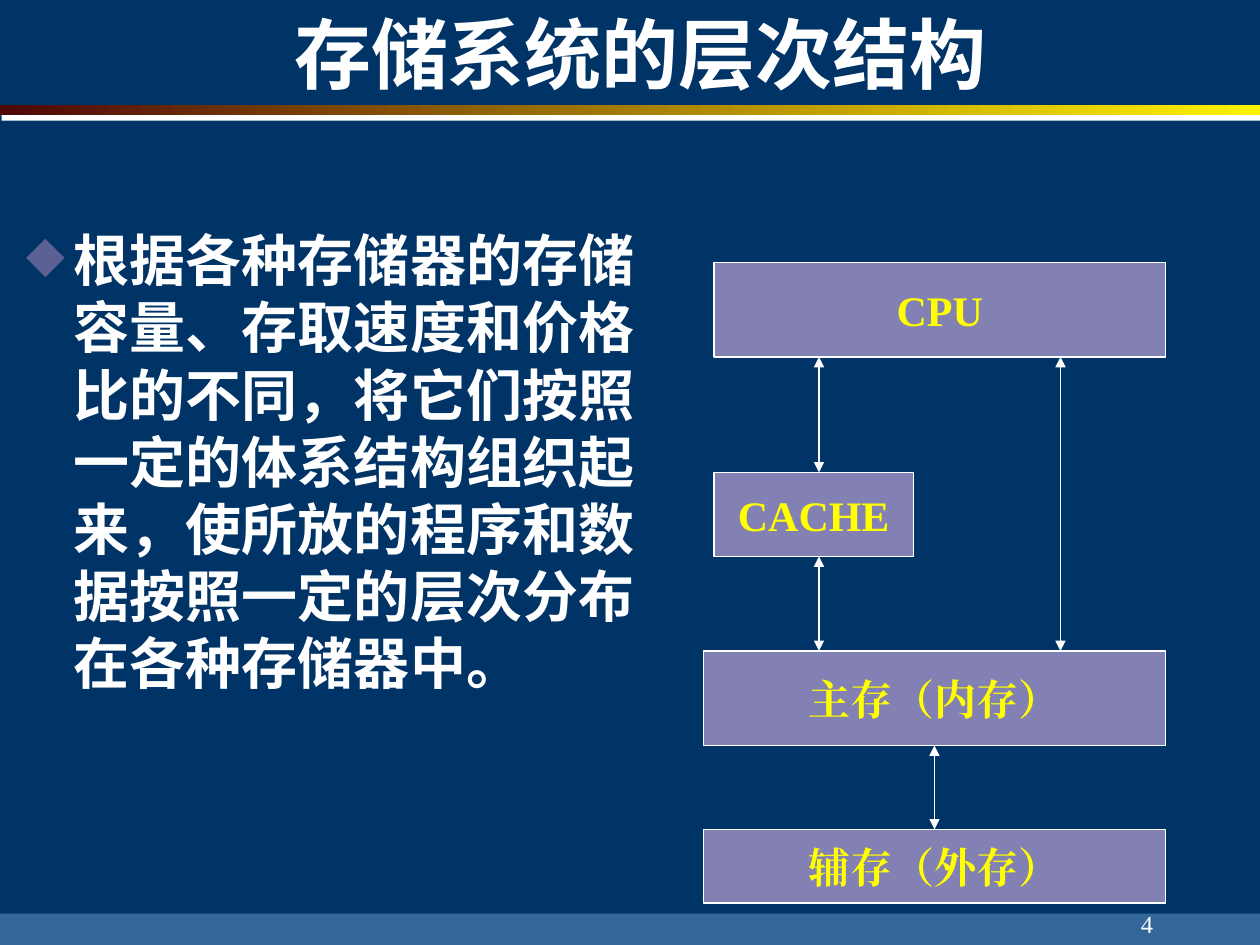
from dataclasses import dataclass

from lxml.etree import SubElement
from pptx import Presentation
from pptx.dml.color import RGBColor as Rgb
from pptx.enum.shapes import MSO_CONNECTOR as Link, MSO_SHAPE as Shape
from pptx.enum.text import MSO_ANCHOR as Anchor, PP_ALIGN as Align
from pptx.oxml.ns import qn
from pptx.util import Inches, Pt


@dataclass(frozen=True)
class Theme:
    back: str = "003366"
    foot: str = "336699"
    white: str = "FFFFFF"
    dark: str = "4D0808"
    gold: str = "FFF200"
    box: str = "8381B3"
    label: str = "FFFF00"
    mark: str = "5B6192"
    sans: str = "Montserrat"
    serif: str = "Times New Roman"
    title: int = 44
    body: int = 32
    node: int = 24
    page: int = 14
    line: float = 0.75


def grid(*cells):
    return [Inches(cell / 12) for cell in cells]


def write(shape, text, font, size, color, bold=True, align=Align.LEFT,
          anchor=Anchor.TOP, bullet=None):
    frame = shape.text_frame
    frame.word_wrap = True
    frame.vertical_anchor = anchor
    para = frame.paragraphs[0]
    para.alignment = align
    if bullet:
        props = para._p.get_or_add_pPr()
        hang = Inches(0.38)
        props.set("marL", str(hang))
        props.set("indent", str(-hang))
        SubElement(SubElement(props, qn("a:buClr")), qn("a:srgbClr"), val=bullet)
        SubElement(props, qn("a:buSzPct"), val="90000")
        SubElement(props, qn("a:buChar"), char="◆")
    run = para.add_run()
    run.text = text
    run.font.name, run.font.size, run.font.bold = font, Pt(size), bold
    run.font.color.rgb = Rgb.from_string(color)
    SubElement(run._r.get_or_add_rPr(), qn("a:ea"), typeface=font)


class Deck:
    def __init__(self, theme):
        self.theme = theme
        self.file = Presentation()
        self.file.slide_width, self.file.slide_height = grid(120, 90)
        self.slide = self.file.slides.add_slide(self.file.slide_layouts[6])
        fill = self.slide.background.fill
        fill.solid()
        fill.fore_color.rgb = Rgb.from_string(theme.back)

    def rect(self, area, color):
        shape = self.slide.shapes.add_shape(Shape.RECTANGLE, *grid(*area))
        shape.shadow.inherit = False
        shape.fill.solid()
        shape.fill.fore_color.rgb = Rgb.from_string(color)
        shape.line.fill.background()
        return shape

    def fade(self, area, *colors):
        fill = self.rect(area, colors[0]).fill
        fill.gradient()
        fill.gradient_angle = 0
        for stop, color in zip(fill.gradient_stops, colors):
            stop.color.rgb = Rgb.from_string(color)

    def text(self, area, text, **style):
        write(self.slide.shapes.add_textbox(*grid(*area)), text, **style)

    def node(self, area, text):
        theme = self.theme
        shape = self.rect(area, theme.box)
        shape.line.color.rgb = Rgb.from_string(theme.white)
        shape.line.width = Pt(theme.line)
        write(shape, text, theme.serif, theme.node, theme.label,
              align=Align.CENTER, anchor=Anchor.MIDDLE)

    def arrow(self, col, upper, lower):
        ends = grid(col, upper[1] + upper[3], col, lower[1])
        link = self.slide.shapes.add_connector(Link.STRAIGHT, *ends)
        link.line.color.rgb = Rgb.from_string(self.theme.white)
        link.line.width = Pt(self.theme.line)
        for end in ("headEnd", "tailEnd"):
            SubElement(link.line._get_or_add_ln(), qn(f"a:{end}"), type="triangle")
        SubElement(link._element.spPr, qn("a:effectLst"))


def main():
    theme = Theme()
    deck = Deck(theme)
    deck.rect((0, 87, 120, 3), theme.foot)
    deck.rect((0.15, 10.5, 119.85, 1), theme.white)
    deck.fade((0, 10, 120, 1), theme.dark, theme.gold)
    deck.text((86, 84, 25, 6), "4", font=theme.serif, size=theme.page,
              color=theme.white, bold=False, align=Align.RIGHT,
              anchor=Anchor.BOTTOM)
    deck.text((6, 0, 108, 9.75), " 存储系统的层次结构", font=theme.sans,
              size=theme.title, color=theme.white, align=Align.CENTER)

    cpu, cache = (68, 25, 43, 9), (68, 45, 19, 8)
    main_mem, disk = (67, 62, 44, 9), (67, 79, 44, 7)
    for area, label in ((cpu, "CPU"), (cache, "CACHE"),
                        (main_mem, "主存（内存）"), (disk, "辅存（外存）")):
        deck.node(area, label)
    for col, upper, lower in ((78, cpu, cache), (78, cache, main_mem),
                              (89, main_mem, disk), (101, cpu, main_mem)):
        deck.arrow(col, upper, lower)

    deck.text((1.3, 20.9, 63, 62),
              "根据各种存储器的存储容量、存取速度和价格比的不同，"
              "将它们按照一定的体系结构组织起来，"
              "使所放的程序和数据按照一定的层次分布在各种存储器中。",
              font=theme.sans, size=theme.body, color=theme.white,
              bullet=theme.mark)
    deck.file.save("out.pptx")


if __name__ == "__main__":
    main()
